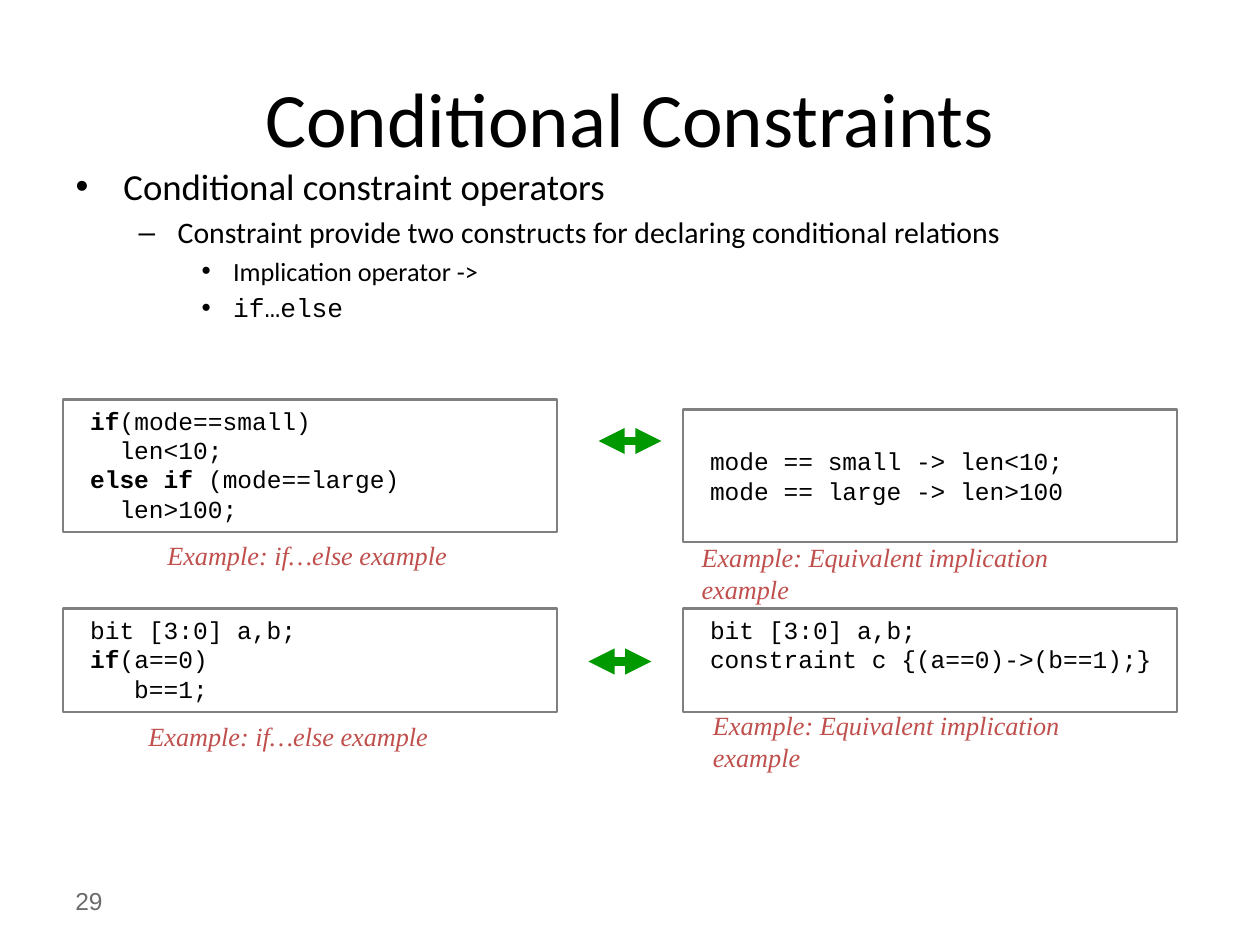
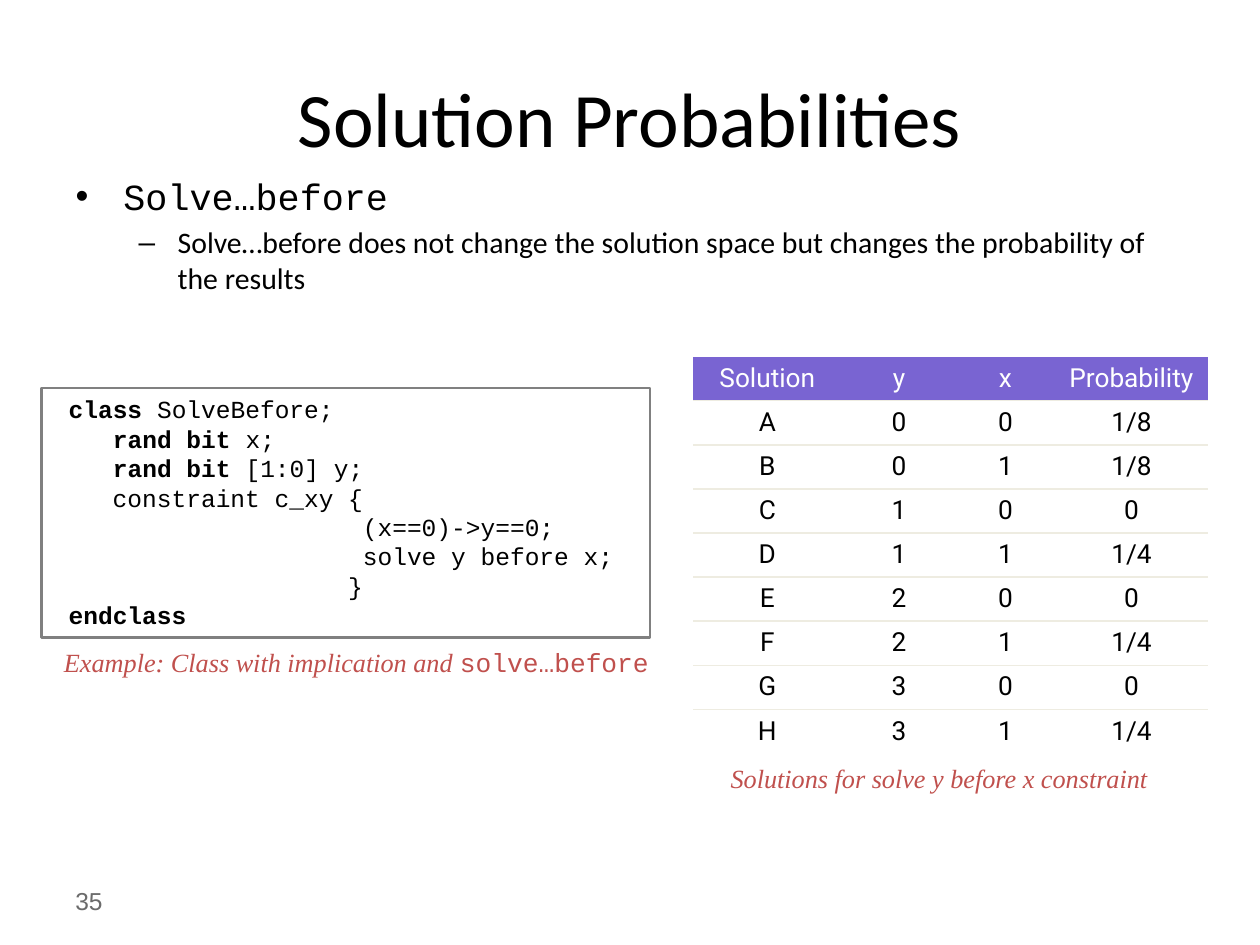
from dataclasses import dataclass

from lxml import etree
from pptx import Presentation
from pptx.dml.color import RGBColor
from pptx.enum.shapes import MSO_CONNECTOR, MSO_SHAPE
from pptx.enum.text import MSO_ANCHOR, MSO_AUTO_SIZE, PP_ALIGN
from pptx.oxml.ns import qn
from pptx.util import Inches, Pt

TOP, MIDDLE = MSO_ANCHOR.TOP, MSO_ANCHOR.MIDDLE
LEFT, CENTER = PP_ALIGN.LEFT, PP_ALIGN.CENTER
FIXED = MSO_AUTO_SIZE.NONE
RECT, STRAIGHT = MSO_SHAPE.RECTANGLE, MSO_CONNECTOR.STRAIGHT
PLAIN_GRID = "{2D5ABB26-0587-4C30-8999-92F81FD0307C}"


@dataclass(frozen=True)
class Theme:
    ink: str = "000000"
    white: str = "FFFFFF"
    gray: str = "6B6B6B"
    frame: str = "808080"
    red: str = "C0504D"
    green: str = "009900"
    purple: str = "7964D2"
    rule: str = "EEECE1"
    sans: str = "Calibri"
    mono: str = "Courier New"
    serif: str = "Times New Roman"
    grid: str = "Roboto"
    foot: str = "Arial"
    title: int = 44
    levels: tuple = (21, 17, 15)
    code: int = 14
    note: int = 15


T = Theme()


def color(code):
    return RGBColor.from_string(code)


def style(font, name, size, ink):
    font.name, font.size = name, Pt(size)
    font.color.rgb = color(ink)


def place(shape, box):
    shape.left, shape.top, shape.width, shape.height = map(Inches, box)


def setup(frame, anchor=TOP):
    frame.word_wrap = True
    frame.auto_size = FIXED
    frame.vertical_anchor = anchor


def textbox(slide, box, anchor=TOP):
    frame = slide.shapes.add_textbox(*map(Inches, box)).text_frame
    setup(frame, anchor)
    return frame


def marked(para, text):
    """Split text at asterisks and yield the runs between each pair."""
    for i, part in enumerate(text.split("*")):
        if part:
            run = para.add_run()
            run.text = part
            if i % 2:
                yield run


def base(deck, title, items, top, number):
    slide = deck.slides.add_slide(deck.slide_layouts[1])
    head, body = slide.placeholders
    place(head, (0.5, 0.3, 9, 1.25))
    setup(head.text_frame, MIDDLE)
    head.text_frame.text = title
    para = head.text_frame.paragraphs[0]
    para.alignment = CENTER
    style(para.font, T.sans, T.title, T.ink)
    outline(body, (0.5, top, 9, 4.95), items)
    frame = textbox(slide, (0.5, 6.95, 2.33, 0.4), MIDDLE)
    frame.text = number
    style(frame.paragraphs[0].font, T.foot, T.code, T.gray)
    return slide


def outline(body, box, items):
    place(body, box)
    frame = body.text_frame
    setup(frame)
    marks = ((0.38, 0.38, "•"), (0.81, 0.31, "–"), (1.25, 0.25, "•"))
    for i, (level, text, name) in enumerate(items):
        para = frame.add_paragraph() if i else frame.paragraphs[0]
        para.text, para.level = text, level
        size = T.levels[level]
        para.space_before = Pt(round(size * 0.2, 1) if i else 0)
        margin, hang, mark = marks[level]
        props = para._p.get_or_add_pPr()
        props.set("marL", str(Inches(margin)))
        props.set("indent", str(-Inches(hang)))
        etree.SubElement(props, qn("a:buChar")).set("char", mark)
        style(para.font, name, size, T.ink)


def listing(slide, box, code, anchor=TOP):
    shape = slide.shapes.add_shape(RECT, *map(Inches, box))
    shape.shadow.inherit = False
    shape.fill.background()
    shape.line.color.rgb = color(T.frame)
    shape.line.width = Pt(1.25)
    frame = shape.text_frame
    setup(frame, anchor)
    for i, line in enumerate(code):
        para = frame.add_paragraph() if i else frame.paragraphs[0]
        para.alignment = LEFT
        for run in marked(para, line):
            run.font.bold = True
        style(para.font, T.mono, T.code, T.ink)


def caption(slide, box, text):
    para = textbox(slide, box).paragraphs[0]
    for run in marked(para, text):
        run.font.name, run.font.italic = T.mono, False
    style(para.font, T.serif, T.note, T.red)
    para.font.italic = True


def example(slide, box, code, note, shift, width, anchor=TOP):
    left, top, _, height = box
    listing(slide, box, code, anchor)
    caption(slide, (left + shift[0], top + height + shift[1], width, 0.35), note)


def arrow(slide, left, top):
    line = slide.shapes.add_connector(
        STRAIGHT, Inches(left), Inches(top), Inches(left + 0.5), Inches(top))
    line.line.color.rgb = color(T.green)
    line.line.width = Pt(5)
    for end in ("a:headEnd", "a:tailEnd"):
        etree.SubElement(line.line._get_or_add_ln(), qn(end)).set("type", "triangle")
    etree.SubElement(line._element.spPr, qn("a:effectLst"))


def underline(cell):
    props = cell._tc.get_or_add_tcPr()
    edge = etree.Element(qn("a:lnB"), w=str(Pt(1)))
    fill = etree.SubElement(edge, qn("a:solidFill"))
    etree.SubElement(fill, qn("a:srgbClr")).set("val", T.rule)
    props.insert(0, edge)


def grid(slide, box, widths, rows):
    shape = slide.shapes.add_table(len(rows), len(widths), *map(Inches, box))
    table = shape.table
    table.first_row = table.horz_banding = False
    table._tbl.tblPr.find(qn("a:tableStyleId")).text = PLAIN_GRID
    for col, width in zip(table.columns, widths):
        col.width = Inches(width)
    for i, values in enumerate(rows):
        table.rows[i].height = Inches(box[3] / len(rows))
        for j, value in enumerate(values):
            cell = table.cell(i, j)
            cell.text = value
            para = cell.text_frame.paragraphs[0]
            para.alignment = CENTER
            style(para.font, T.grid, T.note, T.ink if i else T.white)
            if i:
                cell.fill.background()
            else:
                cell.fill.solid()
                cell.fill.fore_color.rgb = color(T.purple)
            if i < len(rows) - 1:
                underline(cell)


def rules(deck):
    slide = base(deck, "Conditional Constraints", (
        (0, "Conditional constraint operators", T.sans),
        (1, "Constraint provide two constructs for declaring conditional relations", T.sans),
        (2, "Implication operator ->", T.sans),
        (2, "if…else", T.mono),
    ), 1.25, "29")
    first, second, wide = 0.5, 5.42, 3.92
    branch = "Example: if…else example"
    implied = "Example: Equivalent implication example"
    example(slide, (first, 3.17, wide, 1.05), (
        " *if*(mode==small)",
        "   len<10;",
        " *else if* (mode==large)",
        "   len>100;",
    ), branch, (0.73, 0.01), 2.6)
    example(slide, (second, 3.25, wide, 1.05), (
        " mode == small -> len<10;",
        " mode == large -> len>100",
    ), implied, (0.05, -0.05), 3.6, MIDDLE)
    example(slide, (first, 4.83, wide, 0.82), (
        " bit [3:0] a,b;",
        " *if*(a==0)",
        "    b==1;",
    ), branch, (0.58, 0.02), 2.6)
    example(slide, (second, 4.83, wide, 0.82), (
        " bit [3:0] a,b;",
        " constraint c {(a==0)->(b==1);}",
    ), implied, (0.14, -0.07), 3.6)
    arrow(slide, 4.75, 3.5)
    arrow(slide, 4.67, 5.25)


def odds(deck):
    slide = base(deck, "Solution Probabilities", (
        (0, "Solve…before", T.mono),
        (1, "Solve…before does not change the solution space but changes "
            "the probability of the results", T.sans),
    ), 1.33, "35")
    example(slide, (0.33, 3.08, 4.83, 1.98), (
        " *class* SolveBefore;",
        "    *rand bit* x;",
        "    *rand bit* [1:0] y;",
        "    constraint c_xy {",
        "                     (x==0)->y==0;",
        "                     solve y before x;",
        "                    }",
        " *endclass*",
    ), "Example: Class with implication and *solve…before*", (0.08, 0.02), 4.84)
    chances = ("1/8", "1/8", "0", "1/4", "0", "1/4", "0", "1/4")
    rows = [("Solution", "y", "x", "Probability")]
    for i, (name, chance) in enumerate(zip("ABCDEFGH", chances)):
        rows.append((name, str(i // 2), str(i % 2), chance))
    grid(slide, (5.5, 2.83, 4.08, 3.15), (1.18, 0.91, 0.78, 1.22), rows)
    caption(slide, (5.7, 6, 3.7, 0.35), "Solutions for solve y before x constraint")


def main():
    deck = Presentation()
    deck.slide_width, deck.slide_height = Inches(10), Inches(7.5)
    rules(deck)
    odds(deck)
    deck.save("out.pptx")


if __name__ == "__main__":
    main()
